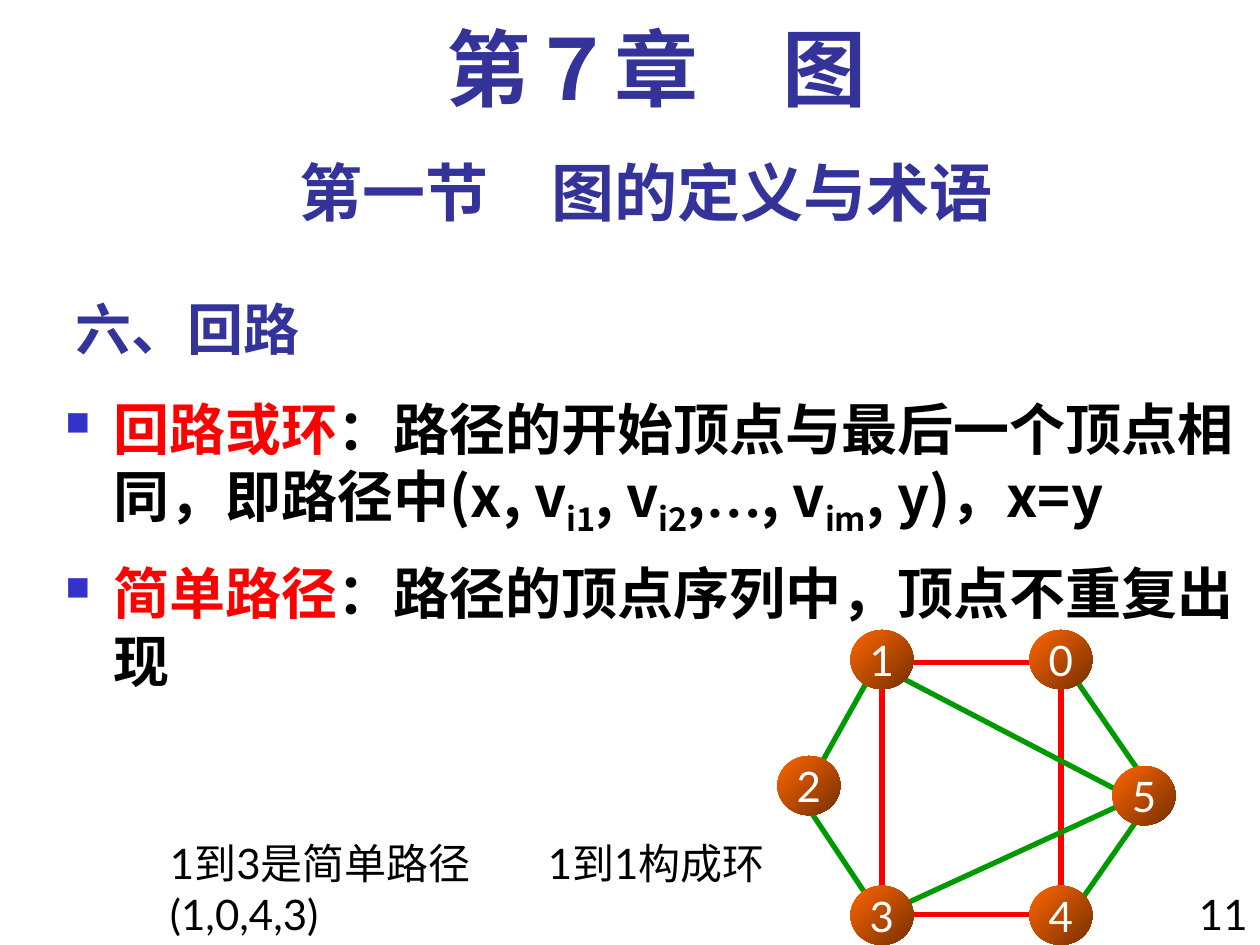
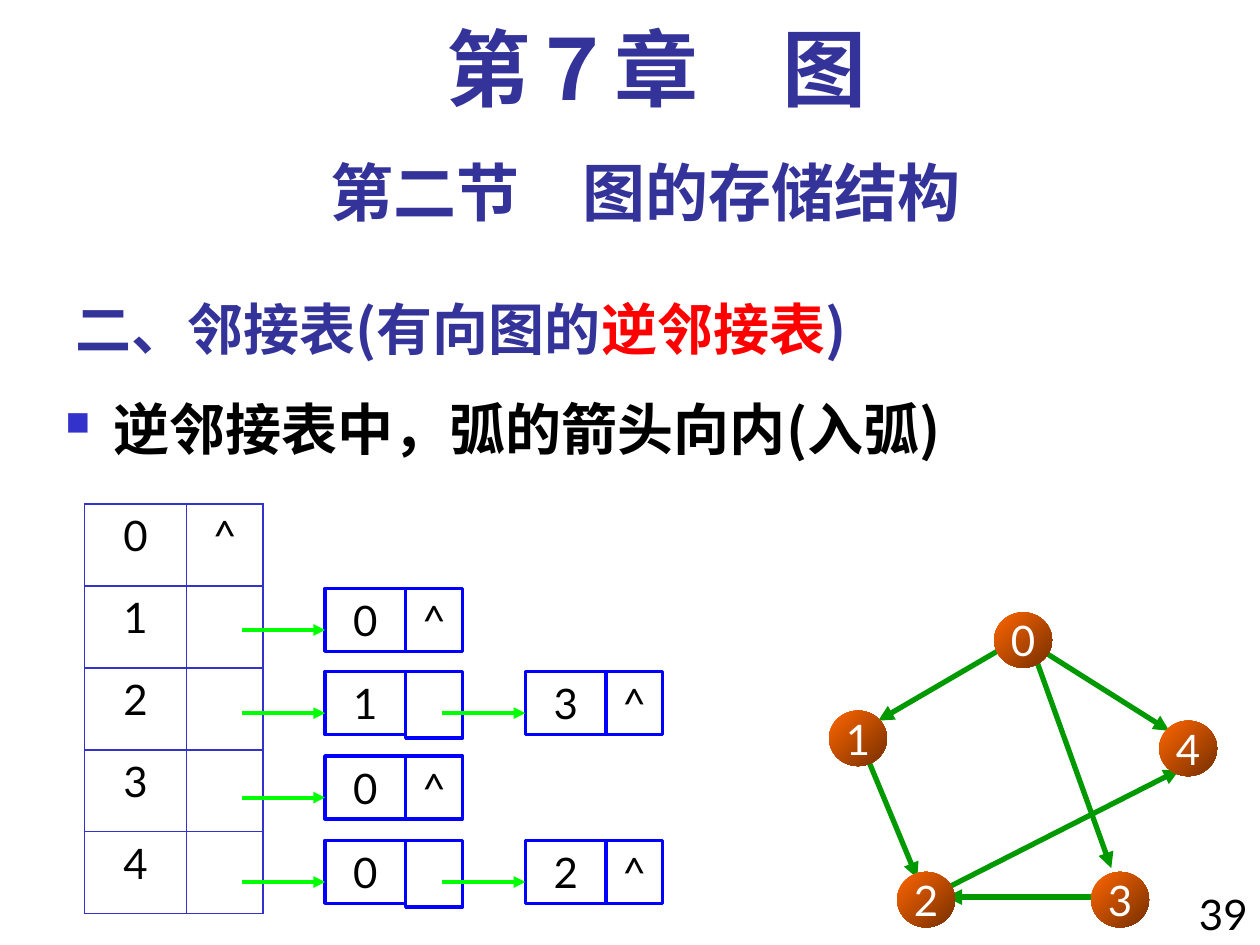
from dataclasses import dataclass
from typing import Any, NamedTuple

from lxml import etree
from pptx import Presentation
from pptx.dml.color import RGBColor
from pptx.enum.shapes import MSO_CONNECTOR, MSO_SHAPE
from pptx.enum.text import MSO_ANCHOR, PP_ALIGN
from pptx.oxml.ns import qn
from pptx.util import Pt

PX = 9144  # 100 px to the inch

NAVY = RGBColor(0x33, 0x33, 0x99)
INDIGO = RGBColor(0x33, 0x33, 0xCC)
BLUE = RGBColor(0x00, 0x00, 0xFF)
RED = RGBColor(0xFF, 0x00, 0x00)
GREEN = RGBColor(0x00, 0x99, 0x00)
LIME = RGBColor(0x00, 0xFF, 0x00)
ORANGE = RGBColor(0xFF, 0x66, 0x00)
BROWN = RGBColor(0x76, 0x2F, 0x00)
BLACK = RGBColor(0x00, 0x00, 0x00)
WHITE = RGBColor(0xFF, 0xFF, 0xFF)

SANS = "Noto Sans CJK SC"
LATO = "Lato"
TIMES = "Times New Roman"

LEFT, MID, RIGHT = PP_ALIGN.LEFT, PP_ALIGN.CENTER, PP_ALIGN.RIGHT
TOP, CORE, LOW = MSO_ANCHOR.TOP, MSO_ANCHOR.MIDDLE, MSO_ANCHOR.BOTTOM
OVAL, RECT = MSO_SHAPE.OVAL, MSO_SHAPE.RECTANGLE
LINE = MSO_CONNECTOR.STRAIGHT


class Run(NamedTuple):
    text: str
    color: RGBColor = BLACK
    font: str = ""
    sub: bool = False


class Box(NamedTuple):
    left: int
    top: int
    width: int
    height: int

    def emu(self) -> list[int]:
        return [n * PX for n in self]


@dataclass(frozen=True)
class Style:
    size: int = 24
    font: str = LATO
    bold: bool = False
    align: Any = LEFT
    anchor: Any = TOP
    space: float = 1.0
    bullet: bool = False


class Node(NamedTuple):
    name: str
    left: int
    top: int


class Edge(NamedTuple):
    x1: int
    y1: int
    x2: int
    y2: int
    color: RGBColor = GREEN


PLAIN = Style()
CELL = Style(align=MID)
DISC = Style(align=MID, anchor=CORE)
PAGE = Style(align=RIGHT)
HEAD = Style(48, TIMES, True, MID, space=0.9)
PART = Style(36, LATO, True, MID)
TOPIC = Style(32, SANS, True, anchor=LOW)
BODY = Style(32, SANS, True, bullet=True)


def apply(target: Any, values: dict[str, Any]) -> None:
    for key, value in values.items():
        setattr(target, key, value)


def add(parent: Any, tag: str, **attrs: str) -> Any:
    return etree.SubElement(parent, qn(tag), attrs)


def mark(para: Any) -> None:
    """Give a paragraph the square bullet and its hanging indent."""
    props = para._p.get_or_add_pPr()
    props.set("marL", str(38 * PX))
    props.set("indent", str(-38 * PX))
    add(add(props, "a:buClr"), "a:srgbClr", val=str(INDIGO))
    add(props, "a:buSzPct", val="60000")
    add(props, "a:buChar", char="■")


def write(frame: Any, paras: list[list[Run]], style: Style) -> None:
    for i, runs in enumerate(paras):
        para = frame.add_paragraph() if i else frame.paragraphs[0]
        if style.bullet:
            mark(para)
        apply(para, {"alignment": style.align, "line_spacing": style.space})
        if i:
            para.space_before = Pt(12)
        for part in runs:
            run = para.add_run()
            run.text = part.text
            apply(run.font, {"size": Pt(style.size), "bold": style.bold,
                             "name": part.font or style.font})
            run.font.color.rgb = part.color
            props = run._r.get_or_add_rPr()
            add(props, "a:ea", typeface=SANS)
            if part.sub:
                props.set("baseline", "-25000")


def label(slide: Any, box: Box, paras: list[list[Run]], style: Style) -> None:
    frame = slide.shapes.add_textbox(*box.emu()).text_frame
    apply(frame, {"word_wrap": True, "vertical_anchor": style.anchor})
    write(frame, paras, style)


def link(slide: Any, edge: Edge, width: float = 3, arrow: bool = False) -> None:
    ends = [n * PX for n in edge[:4]]
    line = slide.shapes.add_connector(LINE, *ends)
    line.line.width = Pt(width)
    line.line.color.rgb = edge.color
    if arrow:
        add(line.line._get_or_add_ln(), "a:tailEnd", type="triangle")
    add(line._element.spPr, "a:effectLst")


def disc(slide: Any, node: Node, width: int, height: int) -> None:
    """Draw a graph vertex as a shaded ball."""
    box = Box(node.left, node.top, width, height)
    ball = slide.shapes.add_shape(OVAL, *box.emu())
    ball.shadow.inherit = False
    ball.line.fill.background()
    ball.fill.gradient()
    ball.fill.gradient_angle = 315
    for stop, color in zip(ball.fill.gradient_stops, (ORANGE, BROWN)):
        stop.color.rgb = color
    frame = ball.text_frame
    apply(frame, {"word_wrap": False, "vertical_anchor": CORE,
                  "margin_left": 0, "margin_right": 0})
    write(frame, [[Run(node.name, WHITE)]], DISC)


def graph(slide: Any, edges: list[Edge], nodes: list[Node],
          size: tuple[int, int], arrow: bool) -> None:
    for edge in edges:
        link(slide, edge, arrow=arrow)
    for node in nodes:
        disc(slide, node, *size)


def slot(slide: Any, box: Box, text: str) -> None:
    """Draw one field of a list node."""
    rect = slide.shapes.add_shape(RECT, *box.emu())
    rect.shadow.inherit = False
    rect.fill.background()
    rect.line.color.rgb = BLUE
    rect.line.width = Pt(2)
    if text:
        rect.text_frame.vertical_anchor = TOP
        write(rect.text_frame, [[Run(text)]], CELL)


def chain(slide: Any, row: int, names: str) -> None:
    """Draw the linked list that hangs on one table row."""
    top = round(400 + row * 200 / 3)
    for i, name in enumerate(names):
        left = 258 + 159 * i
        last = i == len(names) - 1
        slot(slide, Box(left, top, 64, 50), name)
        slot(slide, Box(left + 64, top, 45, 50 if last else 53),
             "^" if last else "")
        link(slide, Edge(left - 66, top + 33, left, top + 33, LIME), 2.25, True)


def heads(slide: Any, box: Box, rows: list[list[str]], cols: list[int]) -> None:
    """Draw the table of list heads."""
    table = slide.shapes.add_table(len(rows), len(cols), *box.emu()).table
    apply(table, {"first_row": False, "horz_banding": False})
    for col, width in zip(table.columns, cols):
        col.width = width * PX
    for r, row in enumerate(rows):
        table.rows[r].height = box.height * PX // len(rows)
        for c, text in enumerate(row):
            cell = table.cell(r, c)
            props = cell._tc.get_or_add_tcPr()
            for side in "LRTB":
                line = add(props, f"a:ln{side}", w=str(Pt(1.08)))
                add(add(line, "a:solidFill"), "a:srgbClr", val=str(INDIGO))
            add(props, "a:noFill")
            if text:
                write(cell.text_frame, [[Run(text)]], CELL)


def start(deck: Any, part: str, topic: list[Run], width: int,
          body: list[list[Run]], page: str) -> Any:
    """Add a slide with the texts that all slides share."""
    slide = deck.slides.add_slide(deck.slide_layouts[6])
    label(slide, Box(50, 217, width, 75), [topic], TOPIC)
    label(slide, Box(933, 700, 67, 50), [[Run(page)]], PAGE)
    label(slide, Box(50, 117, 925, 70), [[Run(part, NAVY)]], PART)
    label(slide, Box(42, 308, 958, 442), body, BODY)
    label(slide, Box(67, 17, 908, 83), [[Run("第７章　图", NAVY)]], HEAD)
    return slide


def loops(deck: Any) -> None:
    body = [
        [Run("回路或环", RED),
         Run("：路径的开始顶点与最后一个顶点相同，即路径中(x, v"),
         Run("i1", sub=True), Run(", v"), Run("i2", sub=True), Run(","),
         Run("…", font=TIMES), Run(", v"), Run("im", sub=True),
         Run(", y)，x=y")],
        [Run("简单路径", RED), Run("：路径的顶点序列中，顶点不重复出现")],
    ]
    slide = start(deck, "第一节　图的定义与术语", [Run("六、回路", NAVY)],
                  625, body, "11")
    edges = [
        Edge(825, 526, 725, 526, RED), Edge(842, 543, 842, 709, RED),
        Edge(850, 534, 908, 618), Edge(692, 534, 650, 609),
        Edge(700, 717, 700, 542, RED), Edge(900, 634, 708, 534),
        Edge(692, 717, 642, 642), Edge(833, 726, 708, 726, RED),
        Edge(900, 634, 717, 718), Edge(908, 643, 850, 726),
    ]
    nodes = [Node("1", 675, 500), Node("3", 675, 703), Node("2", 617, 600),
             Node("5", 883, 608), Node("4", 817, 703), Node("0", 817, 500)]
    graph(slide, edges, nodes, (50, 47), False)
    label(slide, Box(425, 660, 200, 90), [[Run("1到1构成环")]], PLAIN)
    label(slide, Box(125, 660, 275, 90), [[Run("1到3是简单路径(1,0,4,3)")]], PLAIN)


def lists(deck: Any) -> None:
    topic = [Run("二、邻接表(有向图的", NAVY), Run("逆邻接表", RED), Run(")", NAVY)]
    slide = start(deck, "第二节　图的存储结构", topic, 725,
                  [[Run("逆邻接表中，弧的箭头向内(入弧)")]], "39")
    rows = [[str(n), "" if n else "^"] for n in range(5)]
    heads(slide, Box(67, 400, 142, 325), rows, [81, 61])
    edges = [
        Edge(828, 517, 928, 580), Edge(689, 603, 728, 697),
        Edge(805, 509, 697, 572), Edge(820, 517, 882, 689),
        Edge(866, 712, 751, 712), Edge(751, 705, 936, 611),
    ]
    nodes = [Node("1", 658, 564), Node("3", 866, 692), Node("2", 712, 692),
             Node("4", 920, 572), Node("0", 789, 486)]
    graph(slide, edges, nodes, (46, 44), True)
    for row, names in enumerate(["0", "13", "0", "02"], 1):
        chain(slide, row, names)


def main() -> None:
    deck = Presentation()
    apply(deck, {"slide_width": 1000 * PX, "slide_height": 750 * PX})
    loops(deck)
    lists(deck)
    deck.save("out.pptx")


if __name__ == "__main__":
    main()
